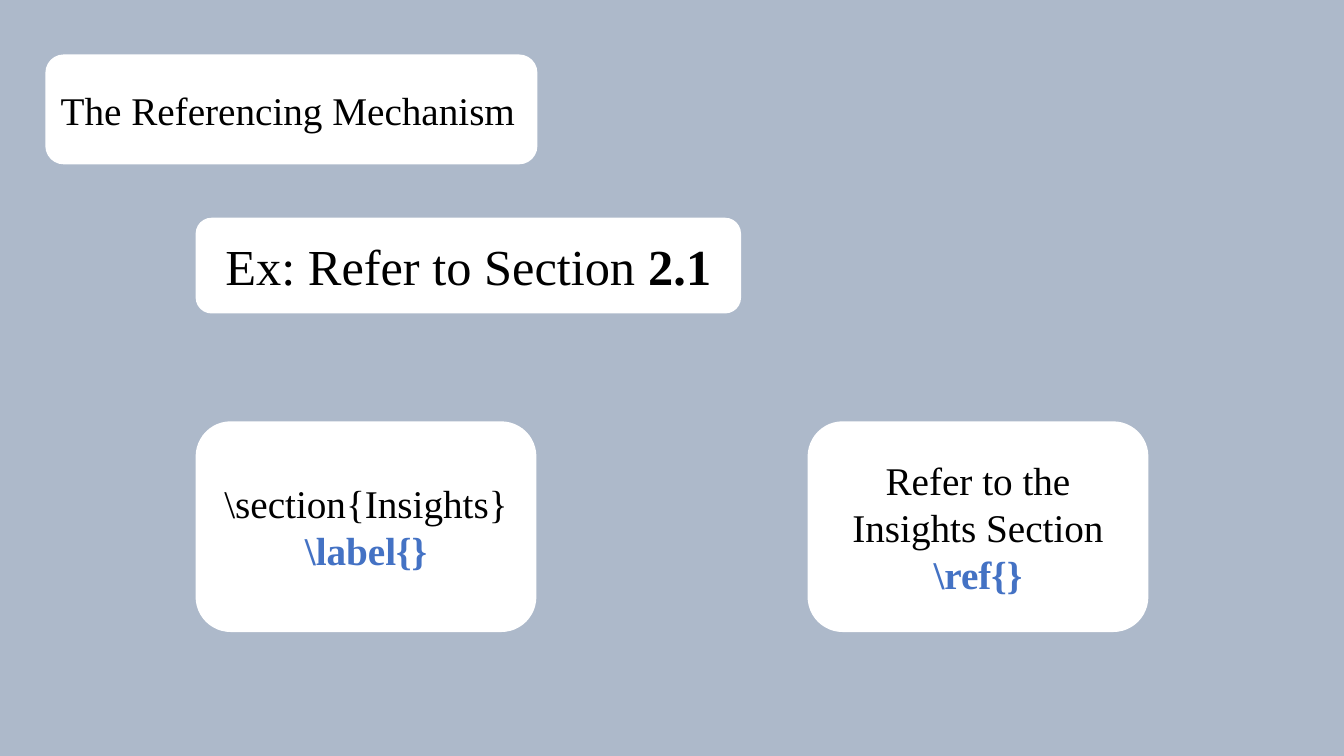
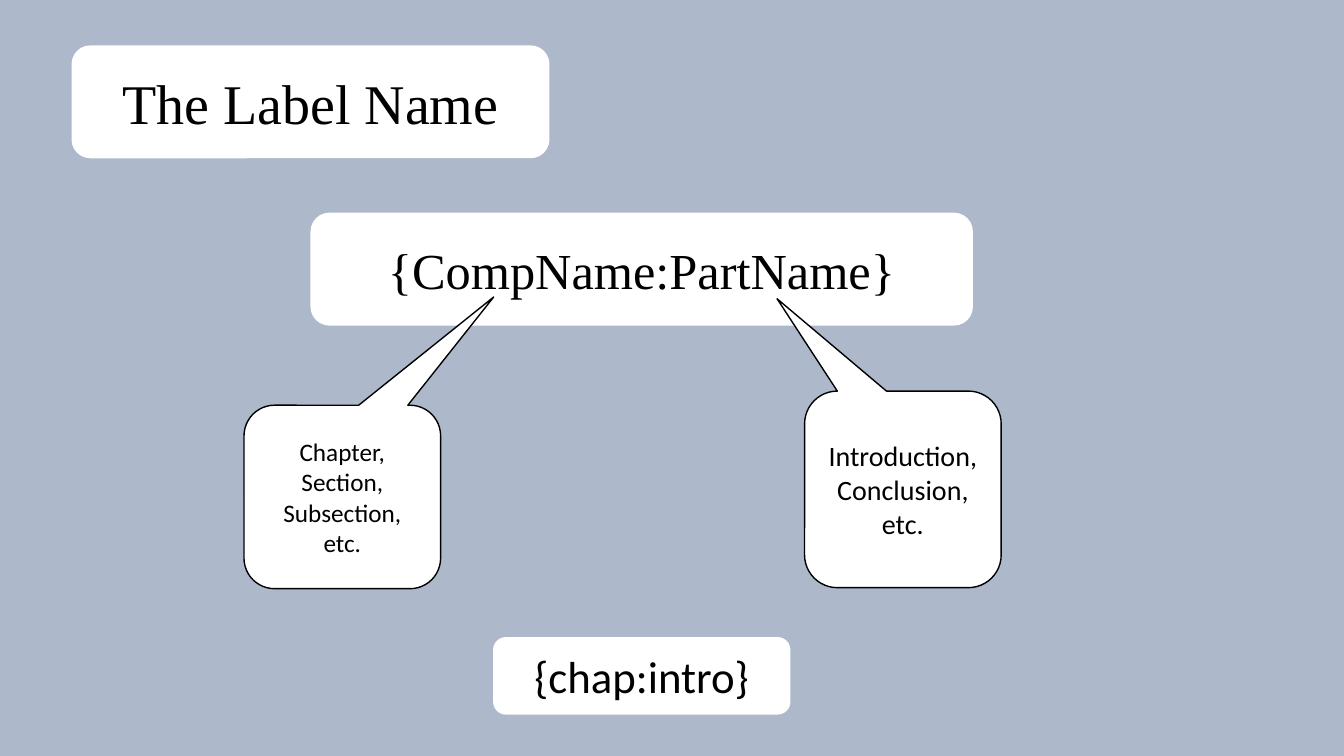
from pptx import Presentation
from pptx.dml.color import RGBColor
from pptx.enum.shapes import MSO_SHAPE
from pptx.enum.text import MSO_ANCHOR, PP_ALIGN
from pptx.util import Inches, Pt

ROUND = MSO_SHAPE.ROUNDED_RECTANGLE
CALLOUT = MSO_SHAPE.ROUNDED_RECTANGULAR_CALLOUT
MIDDLE = MSO_ANCHOR.MIDDLE
LEFT, CENTER = PP_ALIGN.LEFT, PP_ALIGN.CENTER

# Theme: colours, fonts and type sizes
THEME = {
    "back": RGBColor(0xAD, 0xB9, 0xCA),
    "card": RGBColor(0xFF, 0xFF, 0xFF),
    "ink": RGBColor(0, 0, 0),
    "key": RGBColor(0x44, 0x72, 0xC4),
    "serif": "Times New Roman",
    "sans": "Calibri",
    "title": Pt(40),
    "large": Pt(36),
    "mid": Pt(32),
    "body": Pt(28),
    "note": Pt(20),
    "small": Pt(18),
}
# Run styles: weight and colour
STYLES = {
    "plain": ({}, "ink"),
    "bold": ({"bold": True}, "ink"),
    "code": ({"bold": True}, "key"),
}

deck = Presentation()
deck.slide_width, deck.slide_height = Inches(13.33), Inches(7.5)


def add_page():
    page = deck.slides.add_slide(deck.slide_layouts[6])
    page.background.fill.solid()
    page.background.fill.fore_color.rgb = THEME["back"]
    return page


def add_card(page, box, lines, size, face="serif", align=CENTER, tail=None):
    """Each line is a list of (text, style) runs; a tail makes a callout."""
    card = page.shapes.add_shape(CALLOUT if tail else ROUND, *map(Inches, box))
    card.shadow.inherit = False
    card.fill.solid()
    card.fill.fore_color.rgb = THEME["card"]
    if tail:
        card.adjustments[0], card.adjustments[1] = tail
        card.line.color.rgb = THEME["ink"]
        card.line.width = Pt(1)
    else:
        card.line.fill.background()
    frame = card.text_frame
    frame.word_wrap = True
    frame.vertical_anchor = MIDDLE
    for i, line in enumerate(lines):
        para = frame.add_paragraph() if i else frame.paragraphs[0]
        para.alignment = align
        for text, style in line:
            run = para.add_run()
            run.text = text
            extra, color = STYLES[style]
            form = {"name": THEME[face], "size": THEME[size], **extra}
            for key, value in form.items():
                setattr(run.font, key, value)
            run.font.color.rgb = THEME[color]


# Slide 1: referencing
page = add_page()
add_card(page, (1.94, 2.16, 5.41, 0.95),
         [[("Ex: Refer to Section ", "plain"), ("2.1", "bold")]], "large")
add_card(page, (0.45, 0.54, 4.88, 1.09),
         [[("The Referencing Mechanism", "plain")]], "body", align=LEFT)
pair = [
    (1.94, [[(r"\section{Insights}", "plain")], [(r"\label{}", "code")]]),
    (8.01, [[("Refer to the Insights Section ", "plain"),
             (r"\ref{}", "code")]]),
]
for left, lines in pair:
    add_card(page, (left, 4.18, 3.38, 2.09), lines, "body")

# Slide 2: label name
page = add_page()
cards = [
    ((0.71, 0.45, 4.74, 1.12), "The Label Name", "title", "serif"),
    ((3.08, 2.11, 6.57, 1.12), "{CompName:PartName}", "large", "serif"),
    ((4.89, 6.32, 2.95, 0.77), "{chap:intro}", "mid", "sans"),
]
for box, text, size, face in cards:
    add_card(page, box, [[(text, "plain")]], size, face)

# Callouts pointing at the two halves of the name
notes = [
    ((2.42, 4.02, 1.95, 1.82), ["Chapter,", "Section,", "Subsection,", "etc."],
     "small", (0.77, -1.09)),
    ((7.98, 3.88, 1.95, 1.95), ["Introduction,", "Conclusion,", "etc."],
     "note", (-0.64, -0.97)),
]
for box, words, size, tail in notes:
    lines = [[(word, "plain")] for word in words]
    add_card(page, box, lines, size, "sans", tail=tail)

deck.save("out.pptx")
